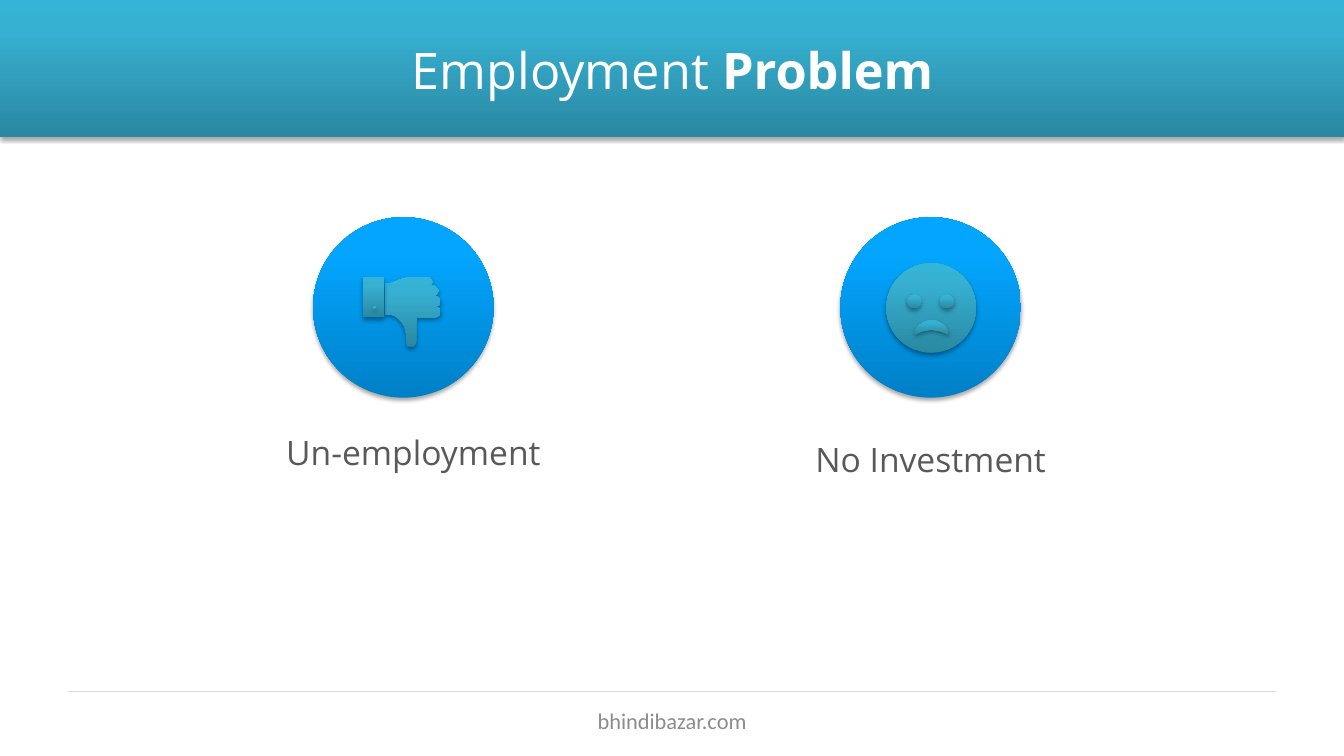
import pptx
import pptx.util
import pptx.dml.color
import pptx.enum.shapes
import pptx.enum.text
import pptx.oxml
import pptx.oxml.ns

Inches, Pt, RGB = pptx.util.Inches, pptx.util.Pt, pptx.dml.color.RGBColor
SHAPE = pptx.enum.shapes.MSO_SHAPE
ANCHOR, FIT = pptx.enum.text.MSO_ANCHOR, pptx.enum.text.MSO_AUTO_SIZE

WHITE, GREY, FOOTER_GREY = RGB(255, 255, 255), RGB(0x59, 0x59, 0x59), RGB(0x8C, 0x8C, 0x8C)
RULE_GREY = RGB(0xD9, 0xD9, 0xD9)
TEAL = (RGB(0x2A, 0x88, 0xA2), RGB(0x37, 0xB1, 0xD2), RGB(0x34, 0xB4, 0xD6))
BLUE = (RGB(0x00, 0x80, 0xC6), RGB(0x03, 0xA5, 0xFF), RGB(0x04, 0xA5, 0xFF))
STOPS = (0, 80, 100)

TITLE = [("Employment ", False), ("Problem", True)]
FOOTER = "bhindibazar.com"

# Icon parts are in hundredths of an inch from the centre of their badge.
THUMB = [(5, -30), (25, -30), (28, -28), (29, -25), (28, -23), (25, -22), (30, -22),
         (33, -20), (35, -17), (34, -14), (32, -12), (29, -11), (34, -11), (36, -9),
         (37, -6), (37, -3), (35, -2), (32, -1), (35, 0), (37, 2), (37, 6), (36, 8),
         (34, 9), (32, 10), (13, 10), (13, 34), (12, 37), (10, 39), (7, 39), (4, 39),
         (3, 37), (3, 27), (2, 23), (1, 19), (-1, 16), (-3, 13), (-6, 10), (-9, 8),
         (-13, 7), (-18, 7), (-18, -24), (-13, -24), (-8, -26), (-3, -28), (0, -29)]
HALF_MOUTH = [(1, 12), (-3, 13), (-8, 15), (-12, 18), (-15, 22), (-16, 25), (-15, 27),
              (-13, 26), (-9, 24), (-5, 23), (1, 22)]
MOUTH = HALF_MOUTH + [(2 - x, y) for x, y in HALF_MOUTH[-2:0:-1]]
THUMB_DOWN = [("outline", THUMB), (SHAPE.RECTANGLE, (-40, -30, 21, 40)),
              (SHAPE.OVAL, (-30, -1, 3, 3))]
SAD_FACE = [(SHAPE.OVAL, (-44, -44, 89, 89)), ("outline", MOUTH),
            (SHAPE.OVAL, (9, -13, 14, 14)), (SHAPE.OVAL, (-23, -13, 14, 14))]

# label, badge centre, label centre, label top, icon
PROBLEMS = [("Un-employment", 4.0, 4.1, 4.24, THUMB_DOWN),
            ("No Investment", 9.23, 9.23, 4.31, SAD_FACE)]
WIDTH, HEIGHT, MARGIN = 13.33, 7.5, 0.67
BADGE_MIDDLE, BADGE_SIZE = 3.05, 1.79
LABEL_WIDTH = 4.21

prs = pptx.Presentation()
prs.slide_width, prs.slide_height = Inches(WIDTH), Inches(HEIGHT)
s = prs.slides.add_slide(prs.slide_layouts[5])


def add_xml(shape, xml, before=None):
    el = pptx.oxml.parse_xml(xml.replace(">", " " + pptx.oxml.ns.nsdecls("a") + ">", 1))
    if before is None:
        shape.element.spPr.append(el)
    else:
        before.addprevious(el)


def shade(shape, colors):
    """Give a shape a vertical gradient, no outline and a soft shadow below."""
    shape.line.fill.background()
    stops = "".join(f'<a:gs pos="{pos * 1000}"><a:srgbClr val="{color}"/></a:gs>'
                    for pos, color in zip(STOPS, colors))
    add_xml(shape, f'<a:gradFill rotWithShape="1"><a:gsLst>{stops}</a:gsLst>'
            '<a:lin ang="16200000" scaled="0"/></a:gradFill>',
            before=shape.element.spPr.find(pptx.oxml.ns.qn("a:ln")))
    add_xml(shape, '<a:effectLst><a:outerShdw blurRad="40000" dist="23000" dir="5400000" '
            'rotWithShape="0"><a:srgbClr val="000000"><a:alpha val="35000"/></a:srgbClr>'
            '</a:outerShdw></a:effectLst>')
    return shape


def add_shaded(shapes, kind, box, colors):
    return shade(shapes.add_shape(kind, *map(Inches, box)), colors)


def add_icon(parts, center_x, center_y):
    group = s.shapes.add_group_shape()
    for kind, data in parts:
        if kind == "outline":
            points = [(round(center_x * 100) + x, round(center_y * 100) + y) for x, y in data]
            builder = group.shapes.build_freeform(*points[0], scale=Inches(0.01))
            builder.add_line_segments(points[1:], close=True)
            shade(builder.convert_to_shape(), TEAL)
        else:
            x, y, w, h = (v / 100 for v in data)
            add_shaded(group.shapes, kind, (center_x + x, center_y + y, w, h), TEAL)


def write(shape, runs, name, size, color, **frame):
    """Fill a text frame with one centred paragraph of (text, bold) runs."""
    tf = shape.text_frame
    for key, value in dict(word_wrap=True, **frame).items():
        setattr(tf, key, value)
    p = tf.paragraphs[0]
    p.alignment = pptx.enum.text.PP_ALIGN.CENTER
    for text, bold in runs:
        r = p.add_run()
        r.text = text
        for key, value in dict(name=name, size=Pt(size), bold=bold).items():
            setattr(r.font, key, value)
        r.font.color.rgb = color


WIDE_INSETS = dict(margin_left=Inches(0.13), margin_right=Inches(0.13),
                   margin_top=Inches(0.07), margin_bottom=Inches(0.07),
                   vertical_anchor=ANCHOR.MIDDLE, auto_size=FIT.NONE)

title = s.shapes.title
title.left, title.top, title.width, title.height = map(Inches, (MARGIN, 0.3, 12, 0.78))
write(title, TITLE, "Open Sans", 36, WHITE, **WIDE_INSETS)
header = add_shaded(s.shapes, SHAPE.RECTANGLE, (0, 0, WIDTH, 1.36), TEAL)
title.element.addprevious(header.element)

rule = s.shapes.add_connector(pptx.enum.shapes.MSO_CONNECTOR.STRAIGHT, Inches(MARGIN),
                              Inches(6.86), Inches(WIDTH - MARGIN), Inches(6.86))
rule.line.color.rgb, rule.line.width = RULE_GREY, Pt(0.75)
add_xml(rule, "<a:effectLst></a:effectLst>")

for label, badge_x, label_x, label_top, icon in PROBLEMS:
    add_shaded(s.shapes, SHAPE.OVAL, (badge_x - BADGE_SIZE / 2, BADGE_MIDDLE - BADGE_SIZE / 2,
                                      BADGE_SIZE, BADGE_SIZE), BLUE)
    add_icon(icon, badge_x, BADGE_MIDDLE)
    box = s.shapes.add_textbox(*map(Inches, (label_x - LABEL_WIDTH / 2, label_top,
                                             LABEL_WIDTH, 0.5)))
    write(box, [(label, False)], "Open Sans", 24, GREY, auto_size=FIT.SHAPE_TO_FIT_TEXT)

footer = s.shapes.add_textbox(*map(Inches, ((WIDTH - 4.22) / 2, 6.95, 4.22, 0.4)))
write(footer, [(FOOTER, False)], "Calibri", 16, FOOTER_GREY, **WIDE_INSETS)

prs.save("out.pptx")
